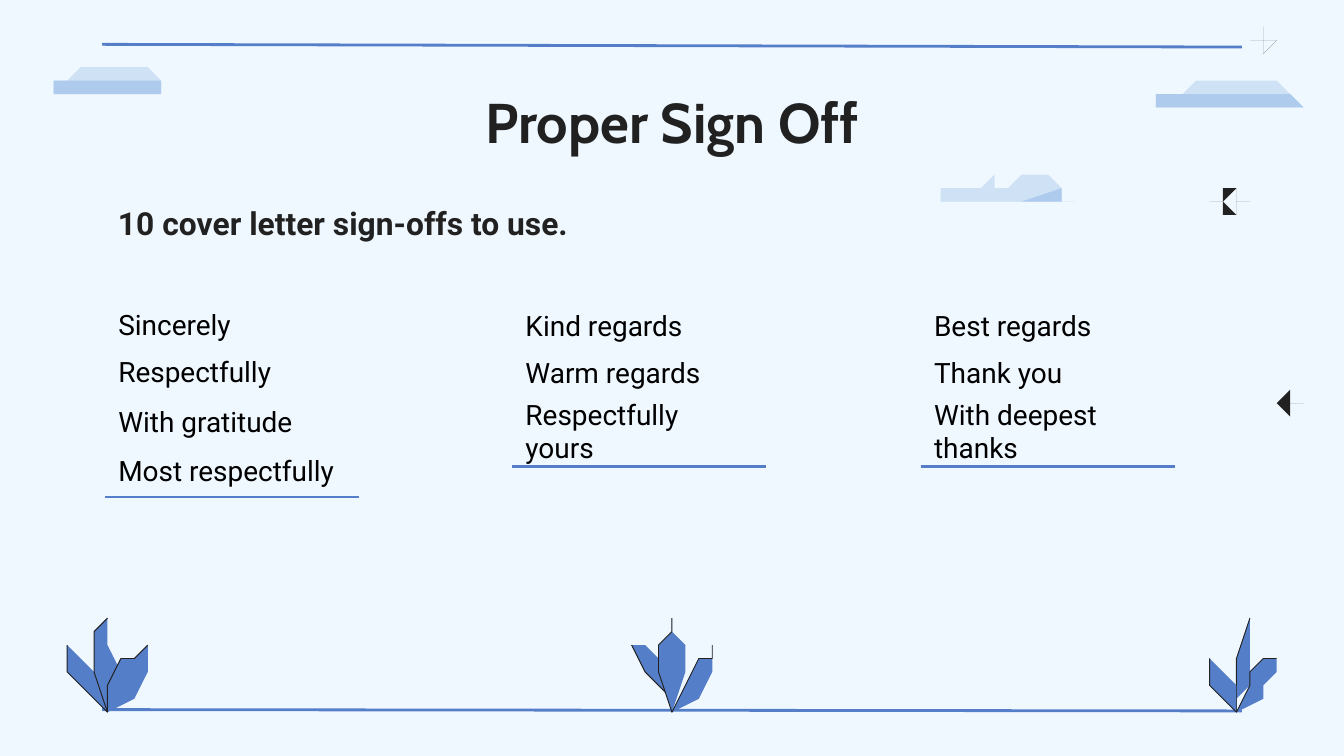
from dataclasses import dataclass

from lxml.etree import SubElement
from pptx import Presentation
from pptx.dml.color import RGBColor
from pptx.enum.shapes import MSO_CONNECTOR
from pptx.enum.text import MSO_ANCHOR, PP_ALIGN
from pptx.oxml.ns import qn
from pptx.util import Inches, Pt

# Every length below counts units of a grid 100 columns wide
UNIT = Inches(0.1)
COLUMNS, ROWS = 100, 56.25
COLORS = {"sky": "F0F8FF", "blue": "557EC8", "ink": "212121", "black": "000000",
          "cloud": "CFE2F5", "shade": "AECAEC"}
Point = tuple[float, float]
Curve = tuple[float, ...]  # two control points and an end point


@dataclass
class Cloud:
    start: Point
    crest: list[Curve]  # left foot over the top to the right foot
    belly: list[Curve]  # upper edge of the shade


@dataclass
class Leaf:
    tip: Point  # all relative to the foot of the plant
    outer: tuple[Point, Point]
    inner: tuple[Point, Point]


@dataclass
class SignOffs:
    left: float
    top: float
    entries: list[str]


@dataclass
class Label:
    text: str
    top: float
    height: float
    size: int
    font: str
    alignment: PP_ALIGN
    anchor: MSO_ANCHOR


CLOUDS = [
    Cloud((86.1, 7.7), [
        (86.1, 7.7, 86.1, 7.5, 86.2, 7.2), (86.3, 7, 86.5, 6.8, 86.8, 6.6),
        (87.1, 6.6, 87.4, 6.6, 87.8, 6.6),
        (88.1, 6.6, 88.4, 6.5, 88.7, 6.2), (89.1, 5.9, 89.5, 5.6, 90, 5.6),
        (90.4, 5.6, 90.9, 5.8, 91.4, 6.2), (91.6, 6.3, 91.7, 6.4, 91.8, 6.4),
        (92.4, 6.4, 92.9, 5.8, 93.7, 5.8), (94.3, 5.8, 95, 6, 96, 6.9),
        (96.2, 7.1, 96.5, 7.4, 96.7, 7.7)],
        [(87, 7.2, 88.9, 7.4, 90.9, 7.4), (92.6, 7.4, 94.5, 7.3, 96, 6.9)]),
    Cloud((3.6, 6.7), [
        (3.6, 6.7, 3.6, 6.4, 3.7, 6.1), (3.8, 5.9, 4, 5.8, 4.2, 5.7),
        (4.9, 5.5, 5.3, 5.7, 6, 4.9), (6.2, 4.7, 6.3, 4.6, 6.6, 4.6),
        (7.2, 4.6, 8, 5.3, 8.7, 5.4), (9.4, 5.6, 9.8, 5.3, 10.4, 5.3),
        (10.8, 5.3, 11.2, 5.4, 11.6, 5.7), (11.8, 5.9, 12, 6.2, 12.2, 6.7)],
        [(4.4, 6.2, 5.8, 6.5, 7.5, 6.5), (8.8, 6.5, 10.3, 6.3, 11.6, 5.7)]),
    Cloud((69.8, 15.2), [
        (69.8, 15.2, 69.8, 15, 69.8, 14.8), (69.9, 14.6, 70, 14.4, 70.2, 14.3),
        (70.5, 14.2, 70.9, 14.2, 71.3, 14.2),
        (71.5, 14.2, 71.6, 14.2, 71.8, 14), (72.3, 13.6, 72.8, 13.3, 73.5, 13.3),
        (74, 13.3, 74.2, 13.7, 74.6, 13.7), (74.8, 13.7, 74.9, 13.7, 75.1, 13.6),
        (75.5, 13.4, 76.1, 13.2, 76.8, 13.2), (77.5, 13.2, 78.2, 13.4, 79, 14.2),
        (79.3, 14.5, 79.5, 14.8, 79.8, 15.2)],
        [(70.4, 14.8, 71.6, 14.9, 72.9, 14.9), (75.1, 14.9, 77.8, 14.7, 79, 14.2)]),
]
WIDE_PLANT = [
    Leaf((-3, -5), ((-3.3, -2.5), (0, 0)), ((-0.3, -3.9), (-3, -5))),
    Leaf((-0.4, -6.3), ((-0.4, -6.3), (-2.1, -3.8)), ((1.5, -4), (-0.4, -6.3))),
    Leaf((2.9, -4.3), ((2.9, -4.3), (-0.1, -3.2)), ((3, -1.3), (2.9, -4.3))),
]
NARROW_PLANT = [
    Leaf((0.5, -6.3), ((-1.3, -3.3), (0, 0)), ((0, 0), (2, -3.1))),
    Leaf((-2.4, -3.5), ((-2.4, -3.5), (-2.5, -0.9)), ((-0.4, -2.5), (-2.4, -3.5))),
    Leaf((2.5, -3.5), ((2.5, -3.5), (0.2, -3)), ((2.5, -1.2), (2.5, -3.5))),
]
PLANTS = [(8, WIDE_PLANT), (50.2, WIDE_PLANT), (92.1, NARROW_PLANT)]
GROUND = 52.8
STARS = [(94.15, 3.3), (91.55, 14.95), (95.75, 30)]
RULES = [(3.3, 3.5), (52.8, 52.9)]
LABELS = [
    Label("Proper Sign Off", 5.5, 6.3, 30, "Cabin", PP_ALIGN.CENTER, MSO_ANCHOR.TOP),
    Label("10 cover letter sign-offs to use.", 14.7, 3.8, 17, "Roboto",
          PP_ALIGN.LEFT, MSO_ANCHOR.MIDDLE),
]
TABLES = [
    SignOffs(7.8, 22.6, ["Sincerely", "Respectfully", "With gratitude", "Most respectfully"]),
    SignOffs(38.1, 22.7, ["Kind regards", "Warm regards", "Respectfully yours"]),
    SignOffs(68.5, 22.7, ["Best regards", "Thank you", "With deepest thanks"]),
]


def units(count: float) -> int:
    return round(count * UNIT)


def color(name: str) -> RGBColor:
    return RGBColor.from_string(COLORS[name])


def apply(target, formats: dict) -> None:
    for name, value in formats.items():
        setattr(target, name, value)


def trace(start: Point, curves: list[Curve], steps: int) -> list[Point]:
    """Follow a chain of cubic curves in short straight steps."""
    points = [start]
    for curve in curves:
        knots = [points[-1], curve[0:2], curve[2:4], curve[4:6]]
        for step in range(1, steps + 1):
            t = step / steps
            weights = ((1 - t) ** 3, 3 * t * (1 - t) ** 2, 3 * t * t * (1 - t), t ** 3)
            points.append(tuple(sum(w * k[axis] for w, k in zip(weights, knots))
                                for axis in (0, 1)))
    return points


def draw_outline(slide, contours: list[list[Point]], fill: str = "", line: str = "") -> None:
    first, *others = contours
    builder = slide.shapes.build_freeform(*first[0], scale=UNIT)
    builder.add_line_segments(first[1:], close=bool(fill))
    for contour in others:
        builder.move_to(*contour[0])
        builder.add_line_segments(contour[1:], close=bool(fill))
    shape = builder.convert_to_shape()
    shape.shadow.inherit = False
    for part, name in ((shape.fill, fill), (shape.line.fill, line)):
        if name:
            part.solid()
            part.fore_color.rgb = color(name)
        else:
            part.background()
    if line:
        shape.line.width = Pt(0.5)


def draw_cloud(slide, cloud: Cloud) -> None:
    shade = [cloud.crest[0], *cloud.belly, cloud.crest[-1]]
    for curves, fill in ((cloud.crest, "cloud"), (shade, "shade")):
        draw_outline(slide, [trace(cloud.start, curves, steps=2)], fill)


def draw_plant(slide, foot: float, leaves: list[Leaf]) -> None:
    for leaf in leaves:
        outer = (*leaf.outer[0], *leaf.outer[1], 0, 0)
        inner = (*leaf.inner[0], *leaf.inner[1], *leaf.tip)
        edge, blade = ([(foot + x, GROUND + y) for x, y in trace(leaf.tip, curves, steps=4)]
                       for curves in ([outer], [outer, inner]))
        draw_outline(slide, [blade], fill="blue")
        draw_outline(slide, [edge], line="ink")


def draw_star(slide, center: Point) -> None:
    contours = []
    for radius, pinch in ((1.05, 0.58), (0.75, 0.4)):
        curves = [(0, -pinch, pinch, 0, radius, 0), (pinch, 0, 0, pinch, 0, radius),
                  (0, pinch, -pinch, 0, -radius, 0), (-pinch, 0, 0, -pinch, 0, -radius)]
        contours.append([(center[0] + x, center[1] + y)
                         for x, y in trace((0, -radius), curves, steps=3)])
    draw_outline(slide, contours, "ink")


def draw_rule(slide, start: float, end: float) -> None:
    rule = slide.shapes.add_connector(MSO_CONNECTOR.STRAIGHT, units(7.6), units(start),
                                      units(92.4), units(end))
    rule.line.color.rgb = color("blue")
    rule.line.width = Pt(1.5)
    SubElement(rule._element.spPr, qn("a:effectLst"))


def write(paragraph, text: str, ink: str, formats: dict) -> None:
    run = paragraph.add_run()
    run.text = text
    apply(run.font, formats)
    run.font.color.rgb = color(ink)


def draw_label(slide, label: Label) -> None:
    box = slide.shapes.add_textbox(units(7.8), units(label.top), units(84.4), units(label.height))
    margins = {f"margin_{side}": units(1) for side in ("left", "top", "right", "bottom")}
    apply(box.text_frame, {"word_wrap": True, "vertical_anchor": label.anchor, **margins})
    paragraph = box.text_frame.paragraphs[0]
    paragraph.alignment = label.alignment
    write(paragraph, label.text, "ink",
          {"size": Pt(label.size), "name": label.font, "bold": True})


def set_borders(cell) -> None:
    """Rule the bottom of a cell and leave its other sides open."""
    properties = cell._tc.get_or_add_tcPr()
    for side in ("L", "R", "T", "B"):
        border = SubElement(properties, qn(f"a:ln{side}"), w=str(Pt(1.5)))
        if side == "B":
            fill = SubElement(border, qn("a:solidFill"))
            SubElement(fill, qn("a:srgbClr"), val=COLORS["blue"])
        else:
            SubElement(border, qn("a:noFill"))


def draw_table(slide, group: SignOffs) -> None:
    heights = [3.3] + [3.7] * (len(group.entries) - 1)
    table = slide.shapes.add_table(len(heights), 1, units(group.left), units(group.top),
                                   units(18.9), units(sum(heights))).table
    apply(table, {"first_row": False, "horz_banding": False})
    for row, height, entry in zip(table.rows, heights, group.entries):
        row.height = units(height)
        cell = row.cells[0]
        apply(cell, {"margin_left": units(1), "margin_right": units(1), "margin_top": 0,
                     "margin_bottom": 0, "vertical_anchor": MSO_ANCHOR.MIDDLE})
        set_borders(cell)
        cell.fill.background()
        write(cell.text_frame.paragraphs[0], entry, "black", {"size": Pt(15), "name": "Roboto"})


def main() -> None:
    presentation = Presentation()
    apply(presentation, {"slide_width": units(COLUMNS), "slide_height": units(ROWS)})
    slide = presentation.slides.add_slide(presentation.slide_layouts[6])
    slide.background.fill.solid()
    slide.background.fill.fore_color.rgb = color("sky")

    # Scenery
    for start, end in RULES:
        draw_rule(slide, start, end)
    for foot, leaves in PLANTS:
        draw_plant(slide, foot, leaves)
    for center in STARS:
        draw_star(slide, center)
    for cloud in CLOUDS:
        draw_cloud(slide, cloud)

    # Wording
    for label in LABELS:
        draw_label(slide, label)
    for group in TABLES:
        draw_table(slide, group)
    presentation.save("out.pptx")


if __name__ == "__main__":
    main()
